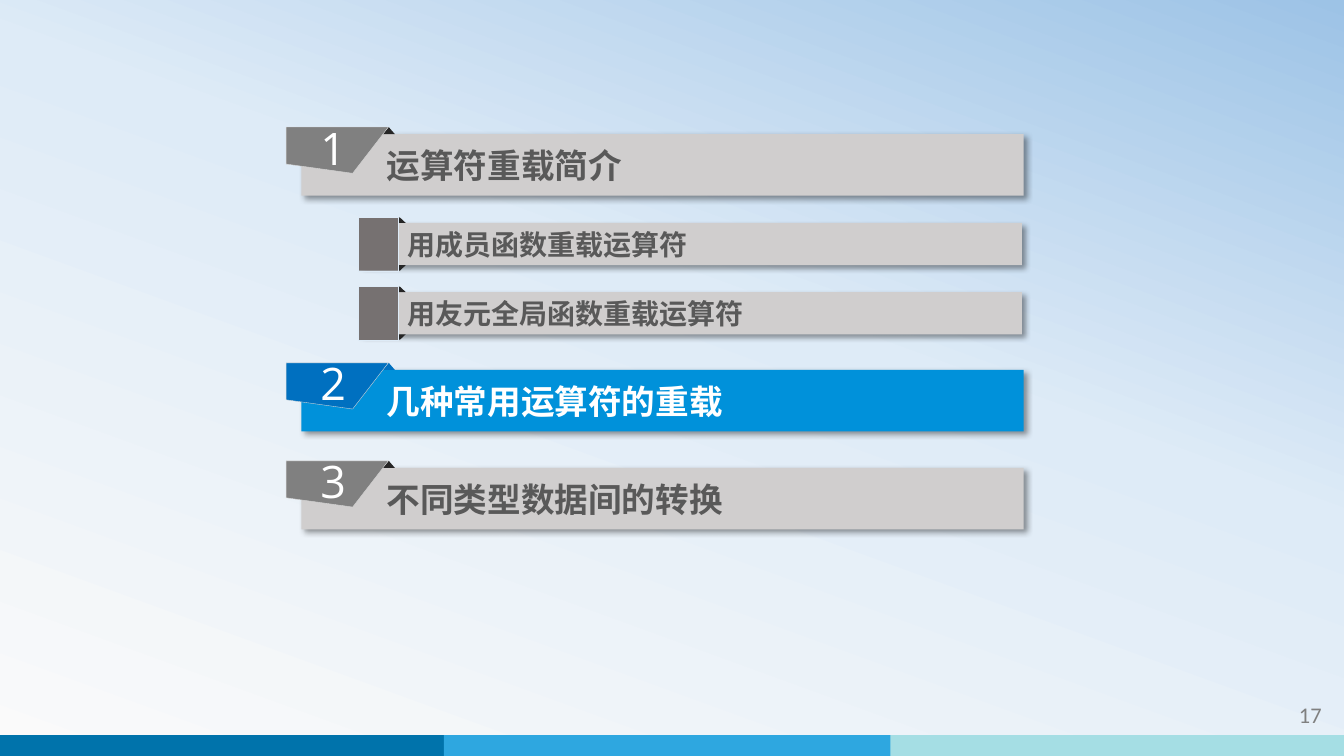
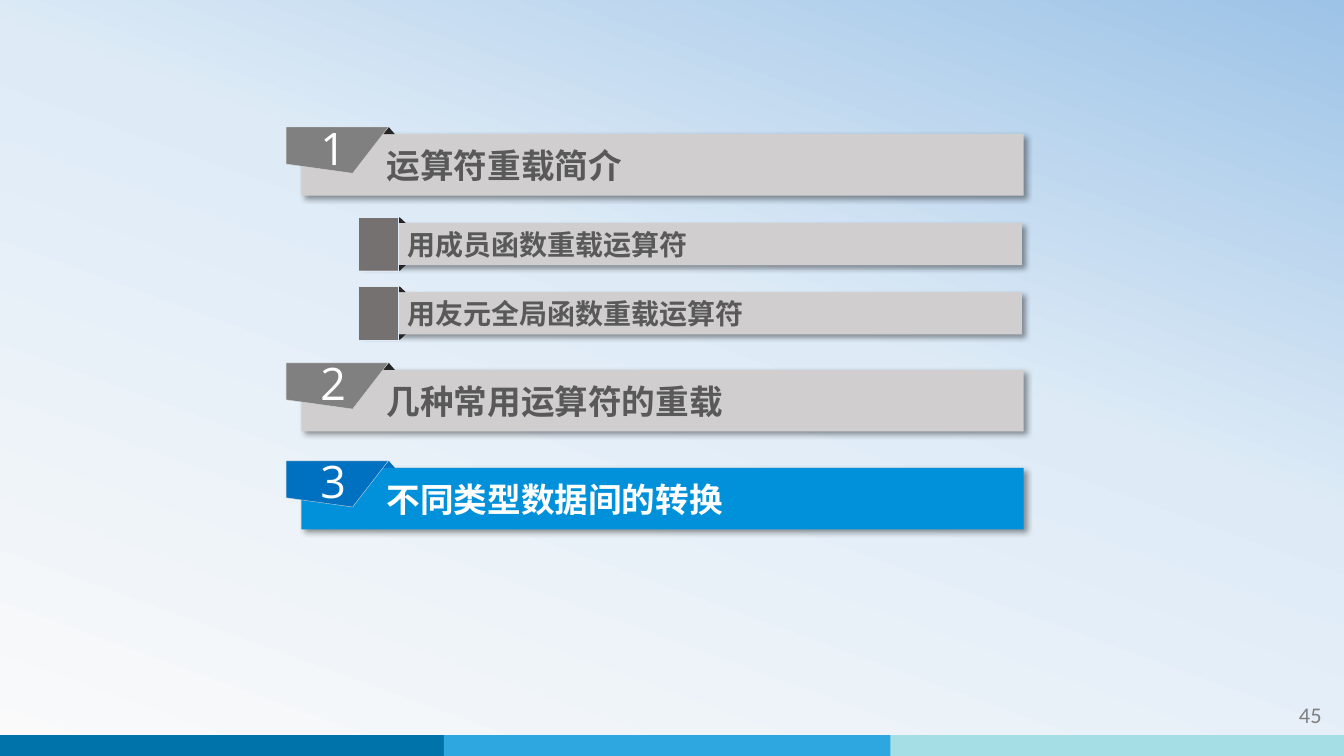
from dataclasses import dataclass

from lxml import etree
from pptx import Presentation
from pptx.dml import color
from pptx.enum import shapes, text
from pptx.oxml import ns
from pptx.util import Pt


@dataclass(frozen=True)
class Theme:
    backdrop: tuple = ((0, "FAFAFA"), (58, "DEEBF7"), (100, "9DC3E6"))
    backdrop_angle: int = 70
    bands: tuple = ("0073AB", "2EA7E0", "A5DEE4")
    bar: str = "D0CECE"
    bar_text: str = "595959"
    flag: str = "808080"
    fold: str = "262626"
    active_bar: str = "0091DA"
    active_flag: str = "0070C0"
    flag_edge: str = "D9D9D9"
    block: str = "767171"
    block_edge: str = "DEEBF7"
    page_number: str = "808080"
    white: str = "FFFFFF"
    shadow: str = "000000"
    cjk_font: str = "Noto Sans CJK SC"
    digit_font: str = "Open Sans"
    footer_font: str = "Calibri"
    heading_size: int = 24
    topic_size: int = 20
    digit_size: int = 32
    footer_size: int = 16


THEME = Theme()
PAGE_WIDTH, PAGE_HEIGHT = 960, 540
HEADING_LEFT, TOPIC_LEFT = 204.4, 256

# Top edge and wording of each agenda entry
HEADINGS = ((90.8, "运算符重载简介"),
            (259.2, "几种常用运算符的重载"),
            (329.2, "不同类型数据间的转换"))
TOPICS = ((155.2, "用成员函数重载运算符"),
          (204.6, "用友元全局函数重载运算符"))

# Page number and highlighted heading of each slide
PAGES = ((17, 2), (45, 3))


def rgb(code):
    return color.RGBColor.from_string(code)


def paint(shape, fill, edge=None):
    shape.shadow.inherit = False
    shape.fill.solid()
    shape.fill.fore_color.rgb = rgb(fill)
    if edge:
        shape.line.color.rgb = rgb(edge)
        shape.line.width = Pt(0.25)
    else:
        shape.line.fill.background()


def add_preset(parent, kind, left, top, width, height, fill, edge=None):
    shape = parent.shapes.add_shape(kind, Pt(left), Pt(top), Pt(width), Pt(height))
    paint(shape, fill, edge)
    return shape


def add_rectangle(parent, *place_and_colours):
    return add_preset(parent, shapes.MSO_SHAPE.RECTANGLE, *place_and_colours)


def add_fold(parent, *place_and_colours):
    """Add the small triangle that makes a label look folded round its bar."""
    return add_preset(parent, shapes.MSO_SHAPE.ISOSCELES_TRIANGLE, *place_and_colours)


def cast_shadow(shape):
    effects = shape.element.spPr.find(ns.qn("a:effectLst"))
    shadow = etree.SubElement(effects, ns.qn("a:outerShdw"), blurRad=str(Pt(4)),
                              dist=str(Pt(3)), dir=str(45 * 60000), algn="tl",
                              rotWithShape="0")
    tint = etree.SubElement(shadow, ns.qn("a:srgbClr"), val=THEME.shadow)
    etree.SubElement(tint, ns.qn("a:alpha"), val="40000")


def write(shape, wording, font, size, ink, align, bold=False,
          anchor=text.MSO_ANCHOR.MIDDLE, insets=(7.2, 3.6, 7.2, 3.6)):
    frame = shape.text_frame
    frame.text = wording
    frame.word_wrap = True
    frame.vertical_anchor = anchor
    (frame.margin_left, frame.margin_top,
     frame.margin_right, frame.margin_bottom) = map(Pt, insets)
    para = frame.paragraphs[0]
    para.alignment = align
    span = para.runs[0]
    span.font.name = font
    span.font.size = Pt(size)
    span.font.bold = bold
    span.font.color.rgb = rgb(ink)
    etree.SubElement(span.font._element, ns.qn("a:ea"), typeface=font)


def add_bar(parent, left, top, width, height, wording, size, indent, fill, ink):
    bar = add_rectangle(parent, left, top, width, height, fill)
    cast_shadow(bar)
    write(bar, wording, THEME.cjk_font, size, ink, text.PP_ALIGN.LEFT, bold=True,
          insets=(indent, 3.6, 7.2, 3.6))


def add_flag(parent, left, top, number, fill):
    """Add the slanted label that carries a heading's number."""
    corners = ((73, 0), (47.5, 33), (0, 26.4))
    outline = parent.shapes.build_freeform(Pt(left), Pt(top))
    outline.add_line_segments([(Pt(left + x), Pt(top + y)) for x, y in corners])
    flag = outline.convert_to_shape()
    paint(flag, fill, THEME.flag_edge)
    write(flag, str(number), THEME.digit_font, THEME.digit_size, THEME.white,
          text.PP_ALIGN.CENTER, insets=(6.5, 2.9, 12.2, 7.2))


def add_heading(page, number, top, wording, active):
    if active:
        bar, ink, flag, fold = (THEME.active_bar, THEME.white,
                                THEME.active_flag, THEME.active_flag)
    else:
        bar, ink, flag, fold = THEME.bar, THEME.bar_text, THEME.flag, THEME.fold
    group = page.shapes.add_group_shape()
    add_bar(group, HEADING_LEFT + 10.8, top + 5, 516, 44, wording,
            THEME.heading_size, 61, bar, ink)
    add_fold(group, HEADING_LEFT + 69, top, 8.6, 5, fold)
    add_flag(group, HEADING_LEFT, top, number, flag)


def add_topic(page, top, wording):
    group = page.shapes.add_group_shape()
    add_bar(group, TOPIC_LEFT + 1, top + 4, 473, 30.2, wording,
            THEME.topic_size, 34, THEME.bar, THEME.bar_text)
    add_fold(group, TOPIC_LEFT + 25.2, top, 8.6, 4, THEME.fold)
    lower_fold = add_fold(group, TOPIC_LEFT + 25.2, top + 34.2, 8.6, 4, THEME.fold)
    lower_fold.rotation = 180
    add_rectangle(group, TOPIC_LEFT, top, 28.8, 38.2, THEME.block, THEME.block_edge)


def set_backdrop(master):
    fill = master.background.fill
    fill.gradient()
    fill.gradient_angle = THEME.backdrop_angle
    stops = master.element.xpath(".//p:bgPr//a:gsLst")[0]
    stops.clear()
    for percent, code in THEME.backdrop:
        stop = etree.SubElement(stops, ns.qn("a:gs"), pos=str(percent * 1000))
        etree.SubElement(stop, ns.qn("a:srgbClr"), val=code)


def add_footer(page, number):
    group = page.shapes.add_group_shape()
    for index, fill in enumerate(THEME.bands):
        add_rectangle(group, -2 + 319 * index, PAGE_HEIGHT - 15, 324, 15, fill)
    box = page.shapes.add_textbox(Pt(836.6), Pt(497.5), Pt(114.5), Pt(28.8))
    write(box, str(number), THEME.footer_font, THEME.footer_size, THEME.page_number,
          text.PP_ALIGN.RIGHT, anchor=text.MSO_ANCHOR.TOP)


def add_agenda(deck, page_number, active_heading):
    page = deck.slides.add_slide(deck.slide_layouts[6])
    add_footer(page, page_number)
    for number, (top, wording) in enumerate(HEADINGS, start=1):
        add_heading(page, number, top, wording, number == active_heading)
    for top, wording in TOPICS:
        add_topic(page, top, wording)


def main():
    deck = Presentation()
    deck.slide_width, deck.slide_height = Pt(PAGE_WIDTH), Pt(PAGE_HEIGHT)
    set_backdrop(deck.slide_master)
    for page_number, active_heading in PAGES:
        add_agenda(deck, page_number, active_heading)
    deck.save("out.pptx")


if __name__ == "__main__":
    main()
